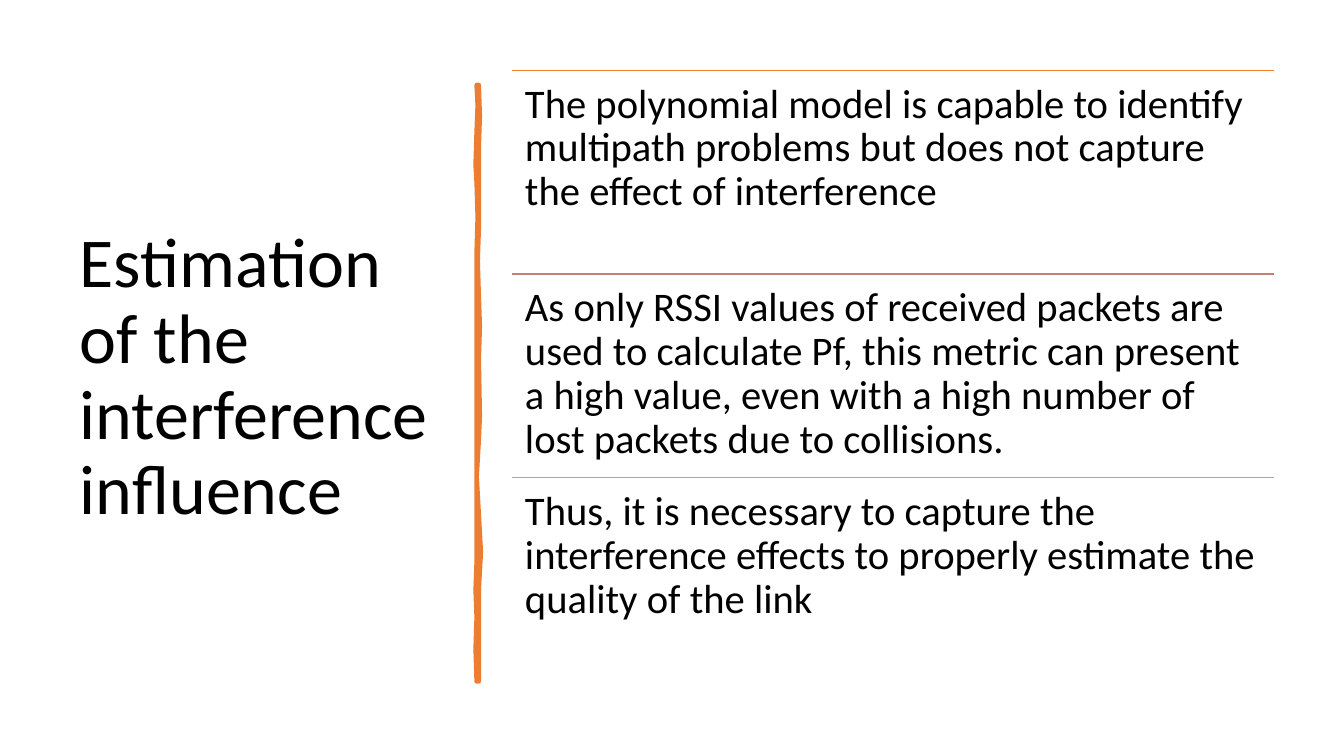
from lxml import etree
from pptx import Presentation
from pptx.dml.color import RGBColor
from pptx.enum.shapes import MSO_CONNECTOR as LINE
from pptx.enum.text import MSO_ANCHOR as ANCHOR
from pptx.oxml.ns import qn
from pptx.util import Pt

PX = 9525
BLACK = RGBColor(0x00, 0x00, 0x00)
ORANGE = RGBColor(0xED, 0x7D, 0x31)
RUST = RGBColor(0xC4, 0x81, 0x70)
GRAY = RGBColor(0xA5, 0xA5, 0xA5)

TITLE = "Estimation of the interference influence"
POINTS = [
    ("The polynomial model is capable to identify multipath problems "
     "but does not capture the effect of interference", ORANGE),
    ("As only RSSI values of received packets are used to calculate Pf, "
     "this metric can present a high value, even with a high number of "
     "lost packets due to collisions.", RUST),
    ("Thus, it is necessary to capture the interference effects to "
     "properly estimate the quality of the link", GRAY),
]
# Edges of the hand-drawn stroke: x, y from its top left corner
STROKE = [
    (2, 0), (3, 30), (2, 59), (2, 136), (1, 168), (2, 201), (3, 230),
    (2, 261), (3, 315), (2, 338), (0, 373), (2, 409), (4, 445), (2, 480),
    (2, 568), (0, 568), (-1, 537), (0, 507), (-1, 481), (0, 454),
    (0, 159), (1, 126), (0, 93), (-1, 76), (0, 44), (1, 19), (0, 0),
]


def add_text(slide, box, text, size, anchor, pad_x, pad_y):
    shape = slide.shapes.add_textbox(*(n * PX for n in box))
    frame = shape.text_frame
    frame.word_wrap = True
    frame.vertical_anchor = anchor
    frame.margin_left = frame.margin_right = pad_x * PX
    frame.margin_top = frame.margin_bottom = pad_y * PX
    frame.text = text
    para = frame.paragraphs[0]
    para.line_spacing = 0.9
    font = para.runs[0].font
    font.name = "Calibri"
    font.size = Pt(size)
    font.color.rgb = BLACK


def add_title(slide, box):
    add_text(slide, box, TITLE, 50, ANCHOR.MIDDLE, 10, 5)


def add_stroke(slide, left, top):
    """Draw the wavy upright divider."""
    first, *rest = STROKE
    outline = slide.shapes.build_freeform(*first, scale=PX)
    outline.add_line_segments(rest, close=True)
    shape = outline.convert_to_shape(left * PX, top * PX)
    shape.shadow.inherit = False
    shape.fill.solid()
    shape.fill.fore_color.rgb = ORANGE
    shape.line.color.rgb = ORANGE
    shape.line.width = Pt(3.25)
    etree.SubElement(shape.line._get_or_add_ln(), qn("a:round"))


def add_rule(slide, left, top, width, color):
    rule = slide.shapes.add_connector(
        LINE.STRAIGHT, left * PX, top * PX, (left + width) * PX, top * PX)
    rule.line.color.rgb = color
    rule.line.width = Pt(1)
    etree.SubElement(rule._element.spPr, qn("a:effectLst"))


def add_points(slide, box):
    """Stack the points in equal rows, each under its own rule."""
    left, top, width, height = box
    row = height // len(POINTS)
    for i, (text, color) in enumerate(POINTS):
        y = top + i * row
        add_rule(slide, left, y, width, color)
        add_text(slide, (left, y, width, row), text, 29, ANCHOR.TOP, 12, 12)


def main():
    deck = Presentation()
    deck.slide_width = 1280 * PX
    deck.slide_height = 720 * PX
    slide = deck.slides.add_slide(deck.slide_layouts[6])
    add_title(slide, (66, 67, 359, 587))
    add_stroke(slide, 454, 81)
    add_points(slide, (488, 67, 725, 582))
    deck.save("out.pptx")


if __name__ == "__main__":
    main()
